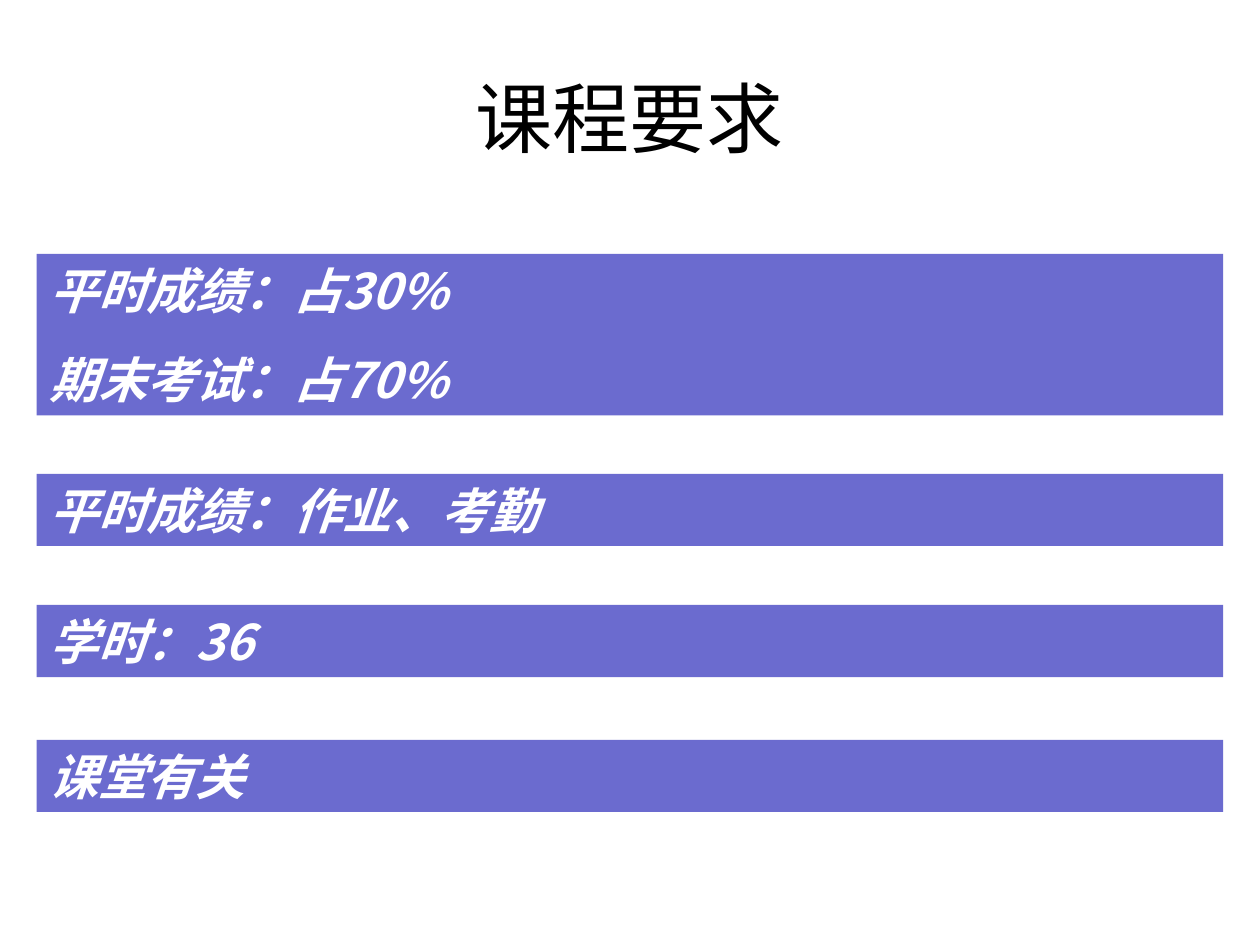
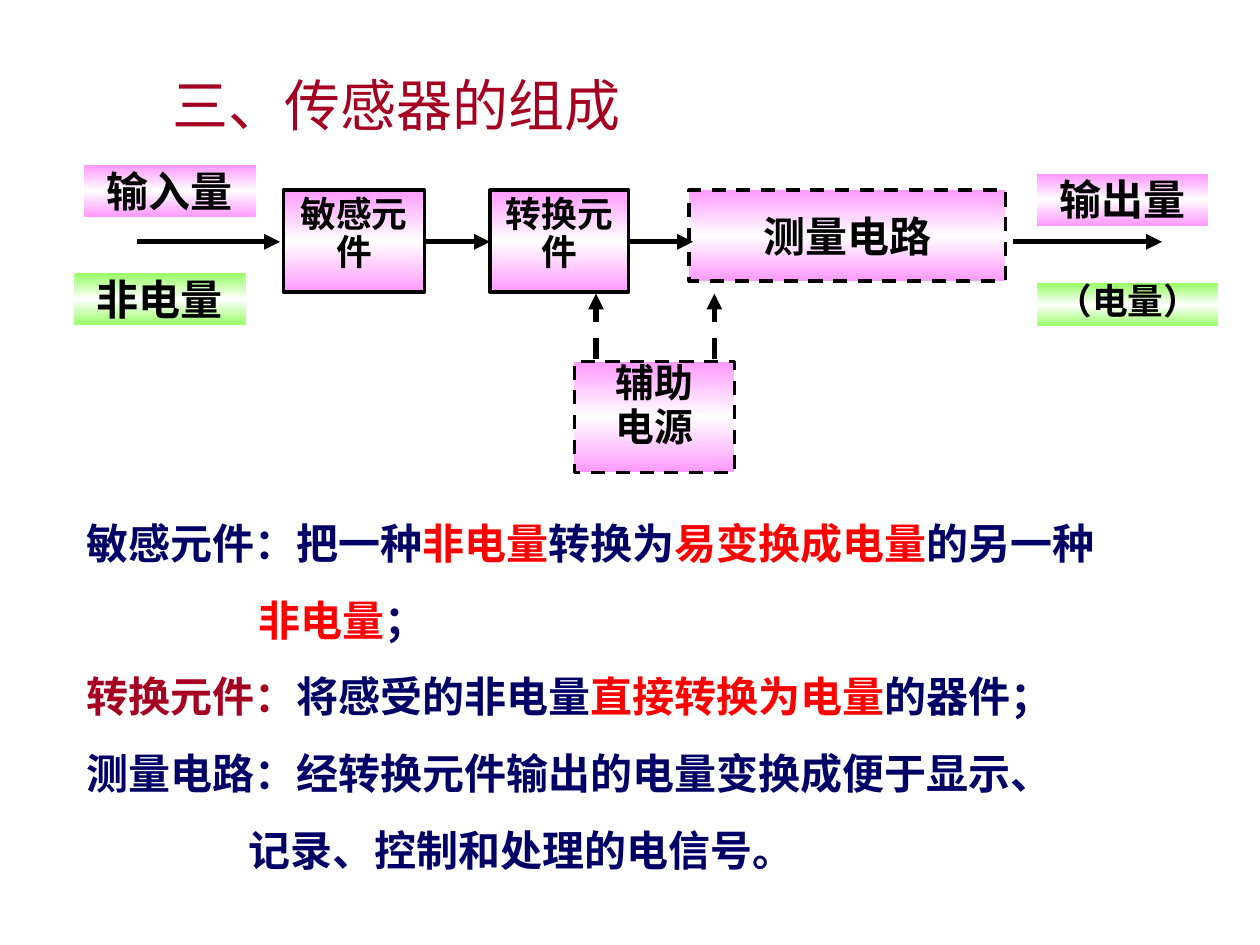
import copy

import lxml.etree
import pptx
import pptx.dml.color
import pptx.enum.dml
import pptx.enum.shapes
import pptx.enum.text
import pptx.oxml.ns
import pptx.util

Pt = pptx.util.Pt
RGB = pptx.dml.color.RGBColor
qn = pptx.oxml.ns.qn
ALIGN = pptx.enum.text.PP_ALIGN
ANCHOR = pptx.enum.text.MSO_ANCHOR
RECT = pptx.enum.shapes.MSO_SHAPE.RECTANGLE
STRAIGHT = pptx.enum.shapes.MSO_CONNECTOR.STRAIGHT
DASH = pptx.enum.dml.MSO_LINE.DASH

BLACK = RGB(0x00, 0x00, 0x00)
WHITE = RGB(0xFF, 0xFF, 0xFF)
VIOLET = RGB(0x6B, 0x6B, 0xCF)
PINK = RGB(0xFF, 0x99, 0xFF)
GREEN = RGB(0x99, 0xFF, 0x66)
NAVY = RGB(0x00, 0x00, 0x66)
RED = RGB(0xFF, 0x00, 0x00)
WINE = RGB(0xA5, 0x00, 0x21)

LATIN = "Arial"
HAN = "Noto Sans CJK SC"


def style(run, size, color, name=LATIN, bold=False, italic=False):
    font = run.font
    font.size, font.bold, font.italic = Pt(size), bold, italic
    font.color.rgb = color
    font.name = name
    props = run._r.get_or_add_rPr()
    lxml.etree.SubElement(props, qn("a:ea")).set("typeface", HAN)


def set_text(shape, text, size, color, align, gap=0, space=1.0, **look):
    """Fill a shape with paragraphs, one per line, with a gap between them."""
    frame = shape.text_frame
    frame.word_wrap = True
    frame.text = text
    for i, para in enumerate(frame.paragraphs):
        para.alignment = align
        para.line_spacing = space
        para.space_before = Pt(gap if i else 0)
        for run in para.runs:
            style(run, size, color, **look)


def add_slide(deck, title, box, size, color):
    slide = deck.slides.add_slide(deck.slide_layouts[5])
    head = slide.shapes.title
    head.left, head.top, head.width, head.height = map(Pt, box)
    head.text_frame.vertical_anchor = ANCHOR.MIDDLE
    set_text(head, title, size, color, ALIGN.CENTER)
    return slide


def add_rect(slide, box):
    rect = slide.shapes.add_shape(RECT, *map(Pt, box))
    rect.shadow.inherit = False
    rect.line.fill.background()
    rect.text_frame.vertical_anchor = ANCHOR.TOP
    return rect


def add_bar(slide, box, text):
    bar = add_rect(slide, box)
    bar.fill.solid()
    bar.fill.fore_color.rgb = VIOLET
    set_text(bar, text, 28, WHITE, ALIGN.LEFT, 17.5,
             name=HAN, bold=True, italic=True)


def shade(shape, color):
    """Blend from the colour to white and back, from top to bottom."""
    shape.fill.gradient()
    shape.fill.gradient_angle = 270
    stops = shape.element.spPr.find(".//" + qn("a:gsLst"))
    stops.append(copy.deepcopy(stops[0]))
    hues = (color, WHITE, color)
    for i, (stop, hue) in enumerate(zip(shape.fill.gradient_stops, hues)):
        stop.position = i / 2
        stop.color.rgb = hue


def add_block(slide, box, text, size, space=1.0, dash=False):
    block = add_rect(slide, box)
    shade(block, PINK)
    block.line.color.rgb = BLACK
    block.line.width = Pt(2)
    if dash:
        block.line.dash_style = DASH
    set_text(block, text, size, BLACK, ALIGN.CENTER, 3.9, space, bold=True)
    return block


def add_tag(slide, box, text, color, size=24, space=1.0):
    tag = add_rect(slide, box)
    shade(tag, color)
    frame = tag.text_frame
    frame.margin_left = frame.margin_right = 0
    frame.margin_top = frame.margin_bottom = 0
    set_text(tag, text, size, BLACK, ALIGN.CENTER, space=space, bold=True)


def add_arrow(slide, x1, y1, x2, y2, dash=False):
    arrow = slide.shapes.add_connector(STRAIGHT, *map(Pt, (x1, y1, x2, y2)))
    arrow.line.color.rgb = BLACK
    arrow.line.width = Pt(3)
    if dash:
        arrow.line.dash_style = DASH
    props = arrow.element.spPr
    tip = lxml.etree.SubElement(props.find(qn("a:ln")), qn("a:tailEnd"))
    tip.set("type", "triangle")
    lxml.etree.SubElement(props, qn("a:effectLst"))


def draw_chain(slide, left, top):
    """Draw the signal chain of a sensor from its top left corner."""
    def at(x, y, wide, high):
        return left + x, top + y, wide, high

    add_block(slide, at(120, 14.7, 80.6, 58.3), "敏感元件", 20.4, 0.9)
    add_block(slide, at(238, 14.7, 79.2, 58.3), "转换元件", 20.4, 0.9)
    meter = add_block(slide, at(351.8, 14.7, 180.7, 51.8), "测量电路", 24,
                      dash=True)
    meter.text_frame.vertical_anchor = ANCHOR.MIDDLE
    add_block(slide, at(286.3, 112.6, 91.4, 63.4), "辅助\n电源", 22.2, 0.8,
              dash=True)

    flow = top + 44.2
    for start, end in ((36.5, 118), (201.4, 238), (317.2, 354), (537, 622)):
        add_arrow(slide, left + start, flow, left + end, flow)
    for x in (298.6, 366.2):
        add_arrow(slide, left + x, top + 111.2, left + x, top + 73.8, True)

    add_tag(slide, at(550.6, 5.4, 97.9, 29.5), "输出量", PINK)
    add_tag(slide, at(550.6, 68, 103.7, 24.5), "（电量）", GREEN, 20.4, 0.9)
    add_tag(slide, at(6.2, 0.3, 97.9, 29.5), "输入量", PINK)
    add_tag(slide, at(0.5, 62.2, 97.9, 29.5), "非电量", GREEN)


TERMS = [
    (0, [("敏感元件：把一种", NAVY), ("非电量", RED), ("转换为", NAVY),
         ("易变换成电量", RED), ("的另一种", NAVY)]),
    (98, [("非电量", RED), ("；", NAVY)]),
    (0, [("转换元件：", WINE), ("将感受的非电量", NAVY),
         ("直接转换为电量", RED), ("的器件；", NAVY)]),
    (0, [("测量电路：经转换元件输出的电量变换成便于显示、", NAVY)]),
    (92.5, [("记录、控制和处理的电信号。", NAVY)]),
]


def add_terms(slide, box):
    frame = slide.shapes.add_textbox(*map(Pt, box)).text_frame
    frame.word_wrap = True
    for i, (indent, parts) in enumerate(TERMS):
        para = frame.add_paragraph() if i else frame.paragraphs[0]
        para.space_before = Pt(15 if i else 0)
        props = para._p.get_or_add_pPr()
        props.set("marL", str(Pt(indent or 36)))
        props.set("indent", str(Pt(0 if indent else -36)))
        for text, color in parts:
            run = para.add_run()
            run.text = text
            style(run, 24, color, bold=True)


def rules_slide(deck):
    slide = add_slide(deck, "课程要求", (36, 21.6, 648, 90), 44, BLACK)
    bars = [
        (145.1, 92.2, "平时成绩：占30%\n期末考试：占70%"),
        (270.8, 41.2, "平时成绩：作业、考勤"),
        (345.7, 41.2, "学时：36"),
        (422.8, 41.2, "课堂有关"),
    ]
    for top, high, text in bars:
        add_bar(slide, (21, top, 678, high), text)


def sensor_slide(deck):
    slide = add_slide(deck, "三、传感器的组成", (19.4, 31.7, 414.7, 55.4),
                      32, WINE)
    draw_chain(slide, 42, 94)
    add_terms(slide, (42.5, 292.3, 612.7, 211.7))


def main():
    deck = pptx.Presentation()
    deck.slide_width, deck.slide_height = Pt(720), Pt(540)
    rules_slide(deck)
    sensor_slide(deck)
    deck.save("out.pptx")


if __name__ == "__main__":
    main()
